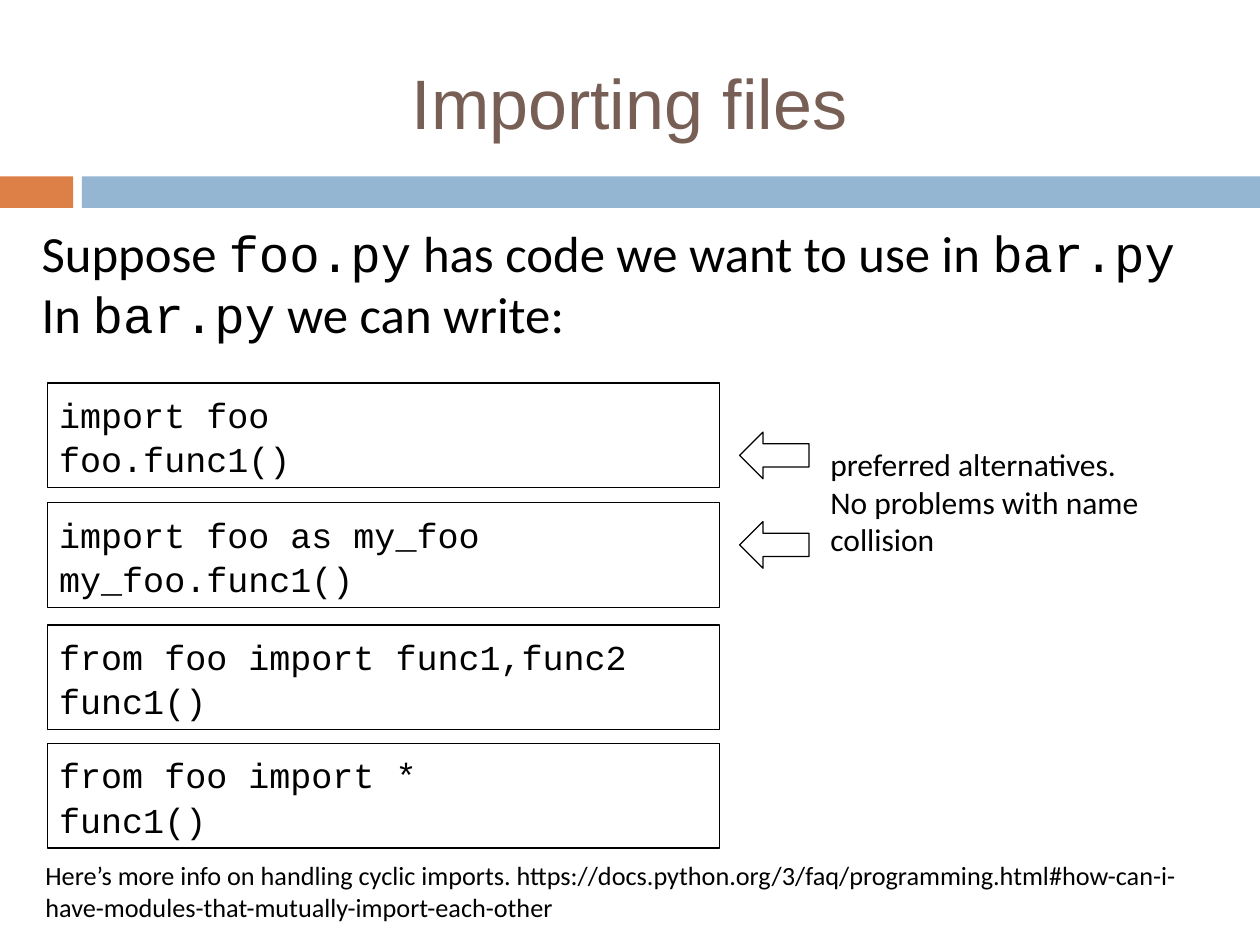
from dataclasses import dataclass

from pptx import Presentation
from pptx.dml.color import RGBColor
from pptx.enum.shapes import MSO_SHAPE
from pptx.enum.text import MSO_ANCHOR, PP_ALIGN
from pptx.util import Inches, Pt

RECT = MSO_SHAPE.RECTANGLE
ARROW = MSO_SHAPE.LEFT_ARROW
TOP, MIDDLE = MSO_ANCHOR.TOP, MSO_ANCHOR.MIDDLE
LEFT, CENTER = PP_ALIGN.LEFT, PP_ALIGN.CENTER


@dataclass(frozen=True)
class Theme:
    ink: str = "000000"
    title: str = "775F55"
    accent: str = "DD8047"
    band: str = "94B6D2"
    head: str = "Arial"
    body: str = "Calibri"
    mono: str = "Courier New"
    title_size: int = 40
    intro_size: int = 29
    code_size: int = 20
    side_size: int = 18
    note_size: int = 15
    line: float = 0.75


THEME = Theme()


def write(shape, lines, size, font=THEME.body, color=THEME.ink, align=LEFT,
          anchor=TOP, inset=0.04, spacing=None):
    """Each line is a string or a list of (text, font) runs."""
    frame = shape.text_frame
    frame.word_wrap = True
    frame.vertical_anchor = anchor
    frame.margin_left = frame.margin_right = Inches(0.09)
    frame.margin_top = frame.margin_bottom = Inches(inset)
    for i, line in enumerate(lines):
        para = frame.add_paragraph() if i else frame.paragraphs[0]
        para.alignment = align
        para.line_spacing = spacing
        runs = [(line, font)] if isinstance(line, str) else line
        for text, face in runs:
            run = para.add_run()
            run.text = text
            run.font.name = face
            run.font.size = Pt(size)
            run.font.color.rgb = RGBColor.from_string(color)


def add_text(slide, box, lines, size, **style):
    shape = slide.shapes.add_textbox(*map(Inches, box))
    write(shape, lines, size, **style)


def add_shape(slide, kind, box, fill=None):
    """Draw a filled shape, or an outlined one when no fill is given."""
    shape = slide.shapes.add_shape(kind, *map(Inches, box))
    shape.shadow.inherit = False
    if fill:
        shape.fill.solid()
        shape.fill.fore_color.rgb = RGBColor.from_string(fill)
        shape.line.fill.background()
    else:
        shape.fill.background()
        shape.line.color.rgb = RGBColor.from_string(THEME.ink)
        shape.line.width = Pt(THEME.line)
    return shape


def add_code(slide, top, lines):
    shape = add_shape(slide, RECT, (0.38, top, 5.33, 0.83))
    write(shape, lines, THEME.code_size, font=THEME.mono, anchor=MIDDLE,
          spacing=1.06)


def main():
    deck = Presentation()
    deck.slide_width, deck.slide_height = Inches(10), Inches(7.5)
    slide = deck.slides.add_slide(deck.slide_layouts[6])

    # Title and band
    add_shape(slide, RECT, (0, 1.4, 0.58, 0.25), THEME.accent)
    add_shape(slide, RECT, (0.65, 1.4, 9.35, 0.25), THEME.band)
    add_text(slide, (0.35, 0.46, 9.29, 0.69), ["Importing files"],
             THEME.title_size, font=THEME.head, color=THEME.title,
             align=CENTER, anchor=MIDDLE, inset=0.05)

    # Introduction, with file names in the code font
    foo, bar = ("foo.py", THEME.mono), ("bar.py", THEME.mono)
    intro = [
        [("Suppose ", THEME.body), foo,
         (" has code we want to use in ", THEME.body), bar],
        [("In ", THEME.body), bar, (" we can write:", THEME.body)],
    ]
    add_text(slide, (0.24, 1.71, 9.29, 1.57), intro, THEME.intro_size,
             inset=0.05)

    # Ways to import
    codes = [
        (3.04, ["import foo", "foo.func1()"]),
        (3.99, ["import foo as my_foo", "my_foo.func1()"]),
        (4.96, ["from foo import func1,func2", "func1()"]),
        (5.9, ["from foo import *", "func1()"]),
    ]
    for top, lines in codes:
        add_code(slide, top, lines)

    # Preferred ways
    for top in (3.43, 4.14):
        add_shape(slide, ARROW, (5.87, top, 0.55, 0.37))
    add_text(slide, (6.5, 3.49, 2.68, 1.3),
             ["preferred alternatives. No problems with name collision"],
             THEME.side_size)

    # Further reading
    add_text(slide, (0.27, 6.78, 9.29, 0.7),
             ["Here’s more info on handling cyclic imports. "
              "https://docs.python.org/3/faq/programming.html"
              "#how-can-i-have-modules-that-mutually-import-each-other"],
             THEME.note_size)

    deck.save("out.pptx")


if __name__ == "__main__":
    main()
